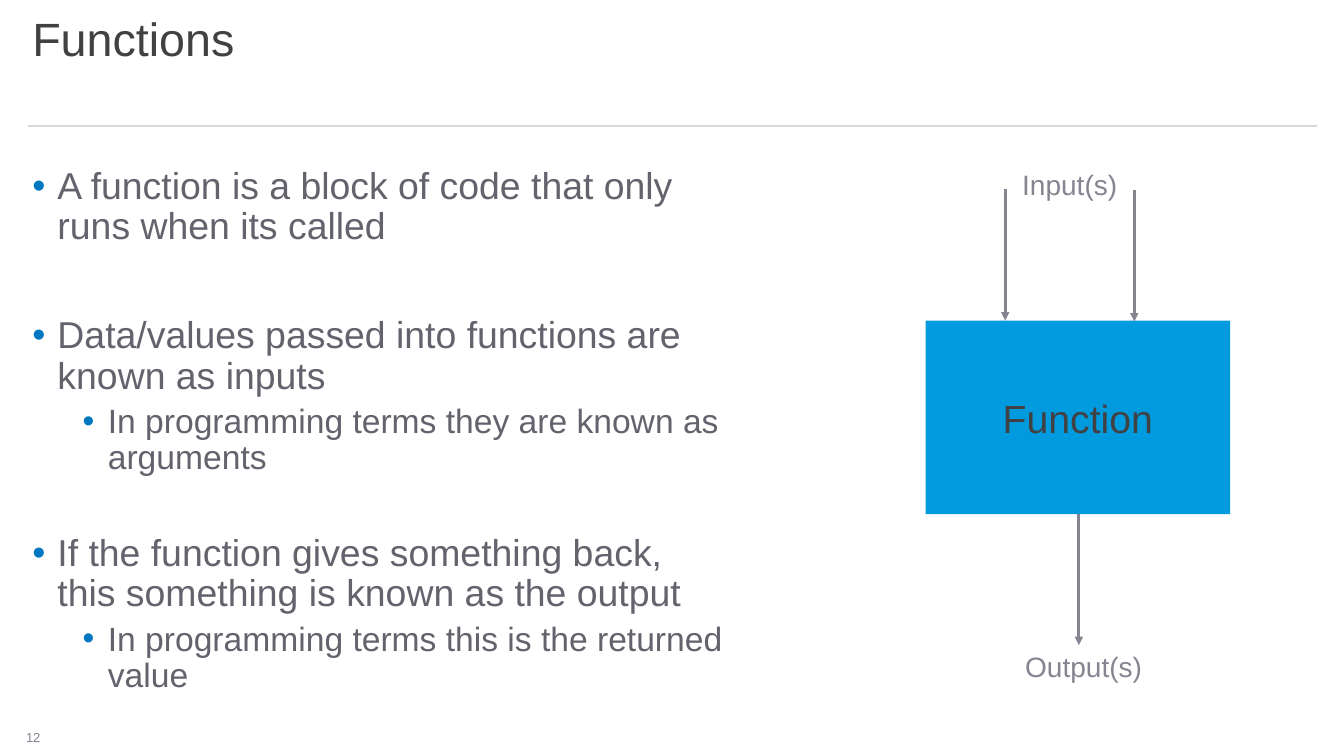
import lxml.etree
import pptx
import pptx.dml.color
import pptx.enum.shapes
import pptx.enum.text
import pptx.oxml.ns
import pptx.util

Inches, Pt = pptx.util.Inches, pptx.util.Pt
ALIGN = pptx.enum.text.PP_ALIGN
ANCHOR = pptx.enum.text.MSO_ANCHOR
COLORS = {"title": "414143", "body": "63636E", "bullet": "0077C0",
          "box": "009BDE", "muted": "858591", "rule": "D9D9DA"}


def rgb(name):
    """Return the named colour."""
    return pptx.dml.color.RGBColor.from_string(COLORS[name])


def add_xml(parent, tag, **attributes):
    """Append a DrawingML element and return it."""
    return lxml.etree.SubElement(parent, pptx.oxml.ns.qn(tag), **attributes)


class SlideBuilder:
    """Hold the style and the current slide."""

    font = "Arial"

    def __init__(self, prs):
        """Start a title and content slide."""
        self.s = prs.slides.add_slide(prs.slide_layouts[1])

    def place(self, sp, at):
        """Move and size a shape."""
        sp.left, sp.top, sp.width, sp.height = map(Inches, at)

    def style(self, p, size, color, align=ALIGN.LEFT):
        """Format a paragraph."""
        p.alignment = align
        p.font.name = self.font
        p.font.size = Pt(size)
        p.font.color.rgb = rgb(color)

    def title(self, text, at):
        """Fill the title placeholder."""
        sp = self.s.shapes.title
        self.place(sp, at)
        tf = sp.text_frame
        tf.text = text
        tf.auto_size = pptx.enum.text.MSO_AUTO_SIZE.NONE
        tf.vertical_anchor = ANCHOR.TOP
        p = tf.paragraphs[0]
        p.line_spacing = 0.9
        self.style(p, 33.3, "title")

    def bullets(self, items, at):
        """Fill the body placeholder with (level, space before, text) items."""
        sp = self.s.placeholders[1]
        self.place(sp, at)
        tf = sp.text_frame
        tf.text = "\n".join(text for _, _, text in items)
        tf.auto_size = pptx.enum.text.MSO_AUTO_SIZE.NONE
        for p, (level, before, _) in zip(tf.paragraphs, items):
            p.level = level
            p.line_spacing = 0.9
            p.space_before = Pt(before)
            p.space_after = Pt(0)
            pPr = p._p.get_or_add_pPr()
            pPr.set("marL", str(Inches(0.25 + 0.5 * level)))
            pPr.set("indent", str(Inches(-0.25)))
            add_xml(add_xml(pPr, "a:buClr"), "a:srgbClr", val=COLORS["bullet"])
            add_xml(pPr, "a:buFont", typeface=self.font)
            add_xml(pPr, "a:buChar", char="•")
            self.style(p, 24 if level else 26.7, "body")

    def label(self, text, at, size, align=ALIGN.LEFT):
        """Add a one-line text box."""
        sp = self.s.shapes.add_textbox(*map(Inches, at))
        tf = sp.text_frame
        tf.text = text
        tf.word_wrap = False
        self.style(tf.paragraphs[0], size, "muted", align)

    def box(self, text, at):
        """Add a filled rectangle with centred text."""
        sp = self.s.shapes.add_shape(
            pptx.enum.shapes.MSO_SHAPE.RECTANGLE, *map(Inches, at))
        sp.shadow.inherit = False
        sp.fill.solid()
        sp.fill.fore_color.rgb = rgb("box")
        sp.line.fill.background()
        tf = sp.text_frame
        tf.text = text
        tf.vertical_anchor = ANCHOR.MIDDLE
        self.style(tf.paragraphs[0], 28, "title", ALIGN.CENTER)

    def line(self, ends, color, arrow=False):
        """Add a straight line, with an arrowhead if wanted."""
        sp = self.s.shapes.add_connector(
            pptx.enum.shapes.MSO_CONNECTOR.STRAIGHT, *map(Inches, ends))
        sp.line.width = Pt(2)
        sp.line.color.rgb = rgb(color)
        if arrow:
            add_xml(sp.line._get_or_add_ln(), "a:tailEnd", type="triangle")
        add_xml(sp._element.spPr, "a:effectLst")


def main():
    """Build and save the slide."""
    prs = pptx.Presentation()
    prs.slide_width, prs.slide_height = Inches(13.33), Inches(7.5)
    slide = SlideBuilder(prs)
    slide.label("12", (0, 7.19, 0.5, 0.26), 9.3, ALIGN.RIGHT)
    slide.line((0.28, 1.25, 13.06, 1.25), "rule")
    slide.title("Functions", (0.22, 0.11, 12.83, 1.13))
    slide.bullets([
        (0, 10, "A function is a block of code that only runs when its called"),
        (0, 49, "Data/values passed into functions are known as inputs"),
        (1, 5, "In programming terms they are known as arguments"),
        (0, 41, "If the function gives something back, this something is known as the output"),
        (1, 5, "In programming terms this is the returned value"),
    ], (0.22, 1.61, 7.07, 5.28))
    slide.box("Function", (9.18, 3.18, 3.02, 1.92))
    for x, y in ((10.7, 5.1), (9.97, 1.88), (11.25, 1.89)):
        slide.line((x, y, x, y + 1.3), "muted", arrow=True)
    slide.label("Input(s)", (10.04, 1.61, 1.15, 0.44), 20)
    slide.label("Output(s)", (10.07, 6.39, 1.37, 0.44), 20)
    prs.save("out.pptx")


if __name__ == "__main__":
    main()
